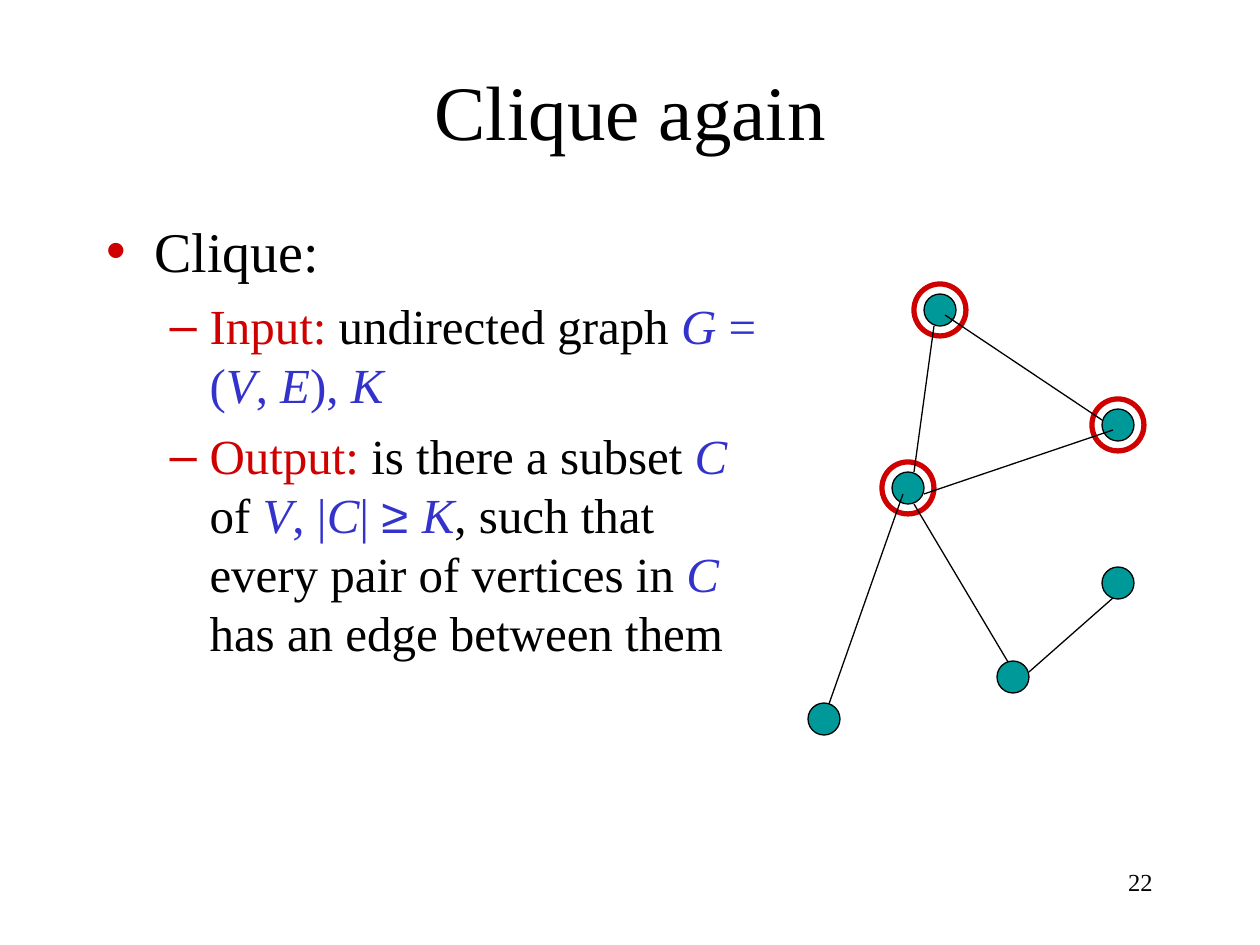
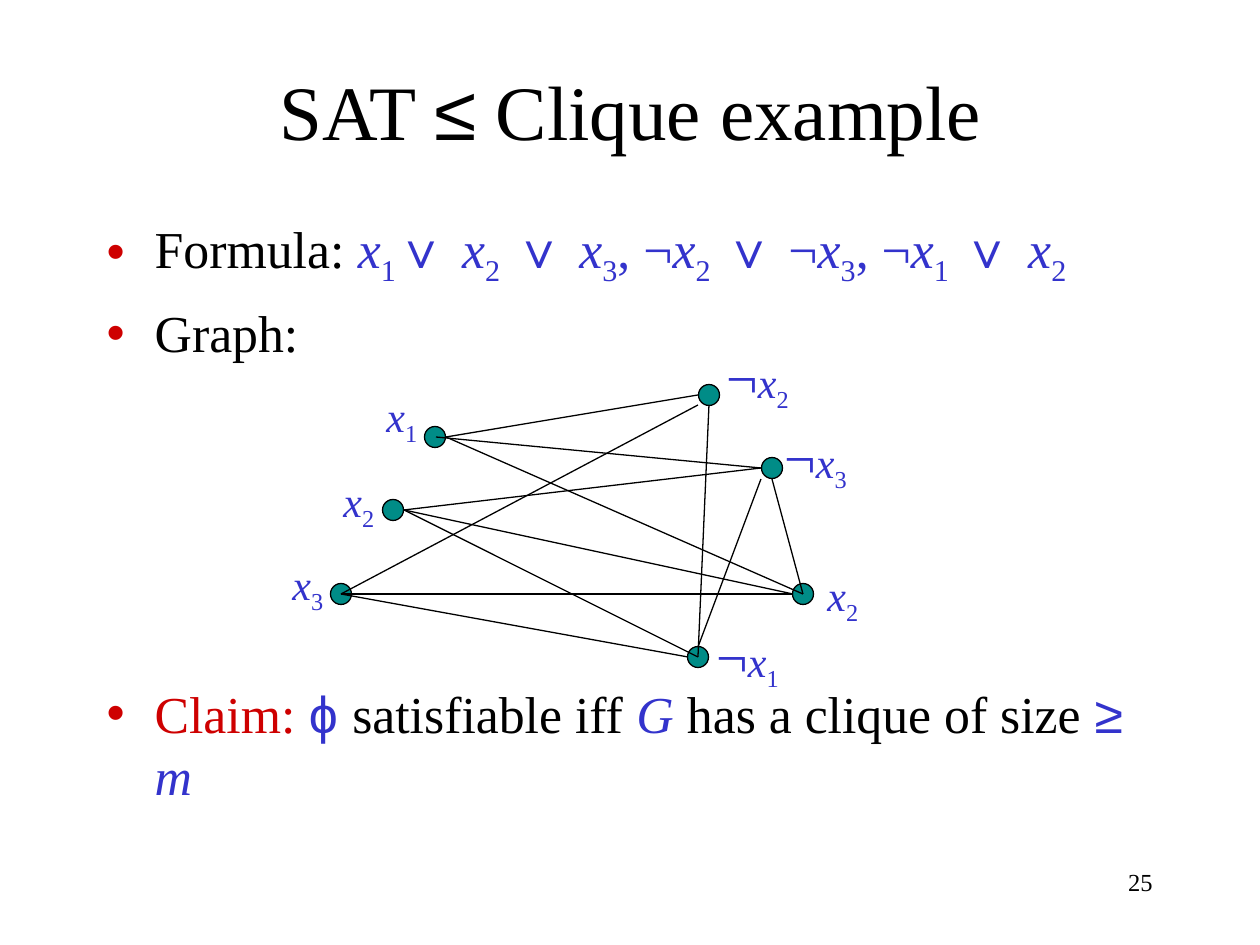
from dataclasses import dataclass

from lxml import etree
from pptx import Presentation
from pptx import util as u
from pptx.dml.color import RGBColor
from pptx.enum import shapes, text
from pptx.oxml import ns

BLACK = RGBColor(0, 0, 0)
RED = RGBColor(0xCE, 0, 0)
BLUE = RGBColor(0x33, 0x33, 0xCC)
TEAL = RGBColor(0, 0x99, 0x99)
DARK_TEAL = RGBColor(0, 0x8C, 0x87)
SERIF = "Times New Roman"
SANS = "Arial"
EMU_PER_PX = 914400 / 126


@dataclass(frozen=True)
class Run:
    text: str
    color: RGBColor = BLACK
    italic: bool = False
    font: str = SERIF
    size: float | None = None
    baseline: int = 0


@dataclass(frozen=True)
class Level:
    bullet: str
    margin: int
    hanging: int


@dataclass(frozen=True)
class Item:
    runs: list[Run]
    level: int = 0
    size: float = 29.6
    before: float = 0


@dataclass(frozen=True)
class Node:
    x: int
    y: int
    ringed: bool = False


@dataclass(frozen=True)
class Edge:
    x1: int
    y1: int
    x2: int
    y2: int


@dataclass(frozen=True)
class Label:
    x: int
    y: int
    index: str
    negated: bool = False


LEVELS = [Level("•", 48, 48), Level("–", 103, 40)]


def px(n: float) -> int:
    return round(n * EMU_PER_PX)


def var(name: str) -> Run:
    return Run(name, BLUE, italic=True)


def sub(index: str) -> Run:
    return Run(index, BLUE, baseline=-25000)


def math(s: str) -> Run:
    return Run(s, BLUE)


def sym(s: str) -> Run:
    return Run(s, BLUE, font=SANS)


def add_run(p, content: str, *, size: float, color: RGBColor = BLACK,
            italic: bool = False, font: str = SERIF, baseline: int = 0) -> None:
    r = p.add_run()
    r.text = content
    r.font.size = u.Pt(size)
    r.font.name = font
    r.font.italic = italic
    r.font.color.rgb = color
    if baseline:
        r._r.get_or_add_rPr().set("baseline", str(baseline))


def add_runs(p, runs: list[Run], size: float) -> None:
    for run in runs:
        add_run(p, run.text, size=run.size or size, color=run.color,
                italic=run.italic, font=run.font, baseline=run.baseline)


def place(sp, x: int, y: int, w: int, h: int) -> None:
    sp.left, sp.top, sp.width, sp.height = px(x), px(y), px(w), px(h)


def set_bullet(p, level: Level) -> None:
    pPr = p._p.get_or_add_pPr()
    pPr.set("marL", str(px(level.margin)))
    pPr.set("indent", str(-px(level.hanging)))
    color = etree.SubElement(pPr, ns.qn("a:buClr"))
    etree.SubElement(color, ns.qn("a:srgbClr")).set("val", str(RED))
    etree.SubElement(pPr, ns.qn("a:buFont")).set("typeface", SANS)
    etree.SubElement(pPr, ns.qn("a:buChar")).set("char", level.bullet)


def add_slide(prs, title: list[Run], items: list[Item], body_width: int, number: str):
    s = prs.slides.add_slide(prs.slide_layouts[1])
    sp = s.shapes.title
    place(sp, 95, 31, 1071, 157)
    tf = sp.text_frame
    tf.auto_size = text.MSO_AUTO_SIZE.NONE
    tf.vertical_anchor = text.MSO_ANCHOR.MIDDLE
    tf.paragraphs[0].alignment = text.PP_ALIGN.CENTER
    add_runs(tf.paragraphs[0], title, 44)

    body = s.placeholders[1]
    place(body, 94, 210, body_width, 630)
    tf = body.text_frame
    tf.auto_size = text.MSO_AUTO_SIZE.NONE
    for i, item in enumerate(items):
        p = tf.add_paragraph() if i else tf.paragraphs[0]
        p.level = item.level
        set_bullet(p, LEVELS[item.level])
        p.space_before = u.Pt(item.before)
        add_runs(p, item.runs, item.size)

    box = s.shapes.add_textbox(px(903), px(861), px(262), px(63))
    box.text_frame.word_wrap = True
    p = box.text_frame.paragraphs[0]
    p.alignment = text.PP_ALIGN.RIGHT
    add_run(p, number, size=14)
    return s


def add_circle(s, node: Node, diameter: int, fill: RGBColor | None,
               line: RGBColor, weight: float) -> None:
    sp = s.shapes.add_shape(shapes.MSO_SHAPE.OVAL, px(node.x - diameter / 2),
                            px(node.y - diameter / 2), px(diameter), px(diameter))
    sp.shadow.inherit = False
    if fill is None:
        sp.fill.background()
    else:
        sp.fill.solid()
        sp.fill.fore_color.rgb = fill
    sp.line.color.rgb = line
    sp.line.width = u.Pt(weight)


def add_edge(s, edge: Edge) -> None:
    line = s.shapes.add_connector(shapes.MSO_CONNECTOR.STRAIGHT, px(edge.x1),
                                  px(edge.y1), px(edge.x2), px(edge.y2))
    line.line.color.rgb = BLACK
    line.line.width = u.Pt(0.75)
    etree.SubElement(line._element.spPr, ns.qn("a:effectLst"))


def add_label(s, label: Label) -> None:
    w, h = (100, 84) if label.negated else (70, 71)
    box = s.shapes.add_textbox(px(label.x), px(label.y), px(w), px(h))
    tf = box.text_frame
    tf.word_wrap = True
    tf.auto_size = text.MSO_AUTO_SIZE.NONE
    sign = [Run("¬", BLUE, size=32)] if label.negated else []
    add_runs(tf.paragraphs[0], sign + [var("x"), sub(label.index)], 24)


def add_graph(s, nodes: list[Node], edges: list[Edge], diameter: int,
              fill: RGBColor) -> None:
    for node in nodes:
        if node.ringed:
            add_circle(s, node, 52, None, RED, 3)
    for node in nodes:
        add_circle(s, node, diameter, fill, BLACK, 0.75)
    for edge in edges:
        add_edge(s, edge)


def build_clique(prs) -> None:
    items = [
        Item([Run("Clique:")], size=32),
        Item([Run("Input:", RED), Run(" undirected graph "), var("G"), math(" = ("),
              var("V"), math(", "), var("E"), math("), "), var("K")],
             level=1, size=28, before=7),
        Item([Run("Output:", RED), Run(" is there a subset "), var("C "), Run("of "),
              var("V"), math(", |"), var("C"), math("| "), sym("≥ "), var("K"),
              Run(", such that every pair of vertices in "), var("C "),
              Run("has an edge between them")], level=1, size=28, before=7),
    ]
    nodes = [Node(940, 310, True), Node(1118, 425, True), Node(908, 488, True),
             Node(1118, 583), Node(1013, 677), Node(824, 719)]
    edges = [Edge(934, 326, 914, 472), Edge(945, 315, 1102, 420),
             Edge(924, 494, 1113, 430), Edge(914, 504, 1008, 662),
             Edge(1113, 598, 1029, 672), Edge(903, 494, 829, 704)]
    s = add_slide(prs, [Run("Clique again")], items, 693, "22")
    add_graph(s, nodes, edges, 32, TEAL)


def build_sat_example(prs) -> None:
    items = [
        Item([Run("Formula: "), var("x"), sub("1"), sym("∨ "), var("x"), sub("2"),
              math(" "), sym("∨ "), var("x"), sub("3"), math(", ¬"), var("x"),
              sub("2"), math(" "), sym("∨"), math(" ¬"), var("x"), sub("3"),
              math(", ¬"), var("x"), sub("1"), math(" "), sym("∨ "), var("x"),
              sub("2")]),
        Item([Run("Graph:")], before=8),
        Item([Run("Claim: ", RED), sym("ϕ "), Run("satisfiable iff "), var("G "),
              Run("has a clique of size "), sym("≥ "), var("m")], before=182),
    ]
    nodes = [Node(435, 437), Node(393, 510), Node(341, 594), Node(709, 395),
             Node(772, 468), Node(803, 594), Node(698, 657)]
    edges = [Edge(446, 437, 698, 395), Edge(436, 437, 761, 468),
             Edge(446, 437, 803, 594), Edge(404, 510, 761, 468),
             Edge(404, 510, 793, 594), Edge(404, 510, 698, 657),
             Edge(341, 594, 698, 405), Edge(341, 594, 793, 594),
             Edge(341, 594, 688, 657), Edge(709, 405, 698, 657),
             Edge(772, 479, 803, 594), Edge(761, 479, 698, 647)]
    labels = [Label(374, 384, "1"), Label(331, 469, "2"), Label(280, 552, "3"),
              Label(714, 336, "2", True), Label(772, 416, "3", True),
              Label(815, 563, "2"), Label(704, 615, "1", True)]
    title = [Run("SAT "), Run("≤", font=SANS), Run(" Clique example")]
    s = add_slide(prs, title, items, 1071, "25")
    add_graph(s, nodes, edges, 21, DARK_TEAL)
    for label in labels:
        add_label(s, label)


def main() -> None:
    prs = Presentation()
    prs.slide_width, prs.slide_height = px(1260), px(945)
    build_clique(prs)
    build_sat_example(prs)
    prs.save("out.pptx")


if __name__ == "__main__":
    main()
